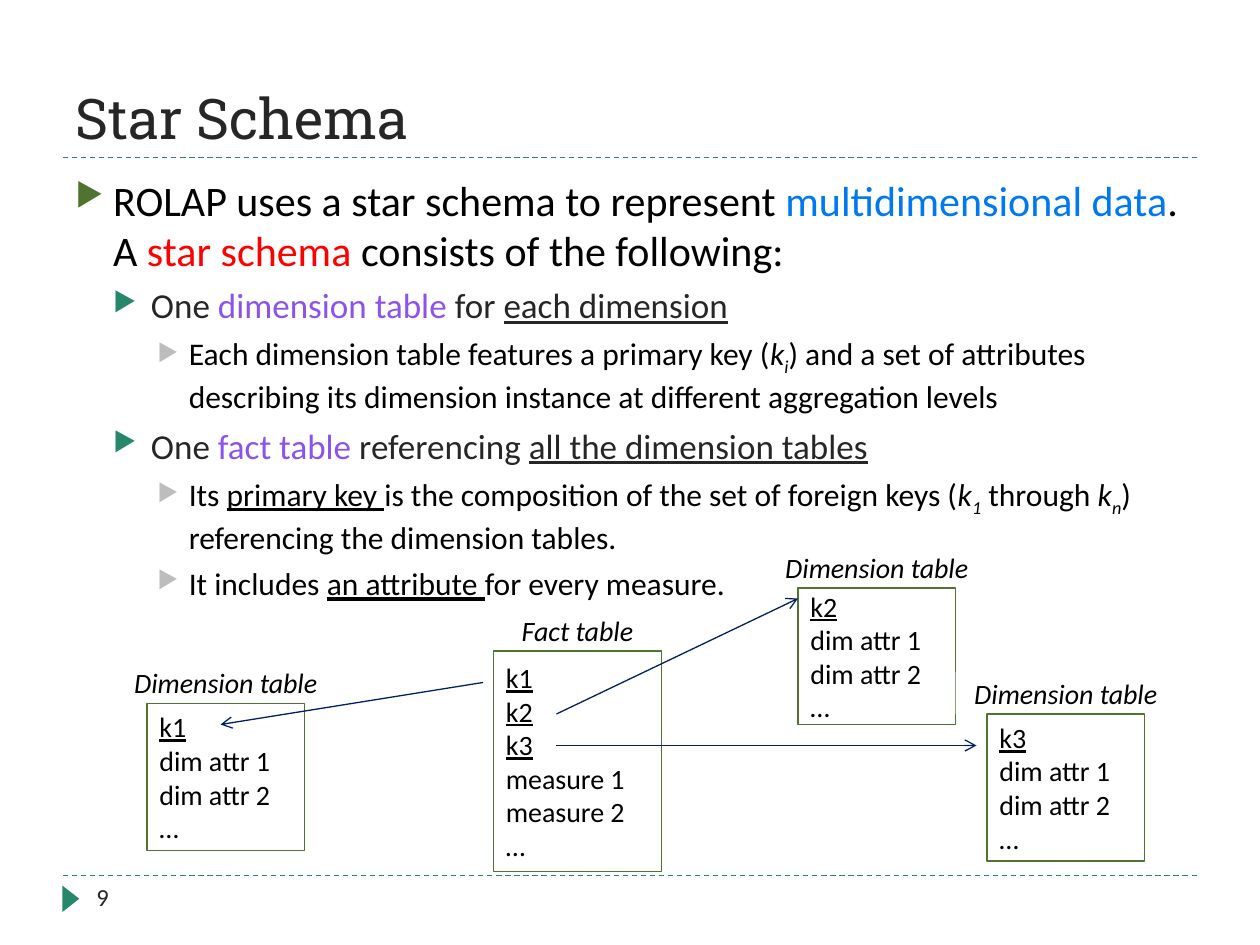
from dataclasses import dataclass

from lxml import etree
from pptx import Presentation
from pptx.dml.color import RGBColor
from pptx.enum.dml import MSO_LINE
from pptx.enum.shapes import MSO_CONNECTOR, MSO_SHAPE
from pptx.enum.text import MSO_ANCHOR, MSO_AUTO_SIZE, PP_ALIGN
from pptx.oxml.ns import qn
from pptx.util import Emu, Pt

STRAIGHT = MSO_CONNECTOR.STRAIGHT
RECTANGLE, TRIANGLE = MSO_SHAPE.RECTANGLE, MSO_SHAPE.ISOSCELES_TRIANGLE
TOP, MIDDLE, BOTTOM = MSO_ANCHOR.TOP, MSO_ANCHOR.MIDDLE, MSO_ANCHOR.BOTTOM
LEFT, CENTER = PP_ALIGN.LEFT, PP_ALIGN.CENTER
DASH = MSO_LINE.DASH
EMU_PER_PX = 7620  # 120 px to the inch
LABEL_HEIGHT = 40


@dataclass(frozen=True)
class Theme:
    heading_font: str = "Roboto Slab"
    body_font: str = "Calibri"
    black: str = "000000"
    white: str = "FFFFFF"
    dark: str = "262626"
    teal: str = "268868"
    green: str = "50742F"
    gray: str = "BDBDBD"
    navy: str = "002060"
    blue: str = "0078F0"
    red: str = "FF0000"
    purple: str = "8B53EB"
    title_size: int = 32
    table_size: int = 16
    number_size: int = 14


THEME = Theme()


@dataclass(frozen=True)
class Level:
    size: int
    color: str
    bullet_color: str
    margin: int
    hanging: int
    space_before: int


LEVELS = (
    Level(24, THEME.black, THEME.green, 36, 36, 6),
    Level(20, THEME.dark, THEME.teal, 72, 36, 5),
    Level(18, THEME.black, THEME.gray, 108, 30, 5),
)


@dataclass(frozen=True)
class Span:
    text: str
    color: str | None = None
    underline: bool = False
    italic: bool = False
    subscript: bool = False


@dataclass(frozen=True)
class Table:
    label: str
    label_width: int
    left: int
    top: int
    width: int
    height: int
    keys: tuple[str, ...]
    attributes: tuple[str, ...]


def key(index: str) -> tuple[Span, Span]:
    return Span("k", italic=True), Span(index, italic=True, subscript=True)


OUTLINE = (
    (0, (Span("ROLAP uses a star schema to represent "),
         Span("multidimensional data", THEME.blue), Span(". A "),
         Span("star schema ", THEME.red), Span("consists of the following:"))),
    (1, (Span("One "), Span("dimension table ", THEME.purple), Span("for "),
         Span("each dimension", underline=True))),
    (2, (Span("Each dimension table features a primary key ("), *key("i"),
         Span(") and a set of attributes describing its dimension instance"
              " at different aggregation levels"))),
    (1, (Span("One "), Span("fact table ", THEME.purple), Span("referencing "),
         Span("all the dimension tables", underline=True))),
    (2, (Span("Its "), Span("primary key ", underline=True),
         Span("is the composition of the set of foreign keys ("), *key("1"),
         Span(" through "), *key("n"), Span(") referencing the dimension tables."))),
    (2, (Span("It includes "), Span("an attribute ", underline=True),
         Span("for every measure."))),
)


def dimension(name: str, left: int, top: int, height: int = 140) -> Table:
    return Table("Dimension table", 210, left, top, 150, height,
                 (name,), ("dim attr 1", "dim attr 2", "…"))


TABLES = (
    dimension("k1", 140, 670),
    Table("Fact table", 160, 470, 620, 160, 210,
          ("k1", "k2", "k3"), ("measure 1", "measure 2", "…")),
    dimension("k2", 760, 560, 130),
    dimension("k3", 940, 680),
)
REFERENCES = ((460, 650, 210, 690), (530, 680, 760, 570), (530, 710, 930, 710))
RULES = ((60, 150, 1140, 150), (60, 834, 1140, 834))


def px(*lengths: int) -> list[Emu]:
    return [Emu(length * EMU_PER_PX) for length in lengths]


def rgb(color: str) -> RGBColor:
    return RGBColor.from_string(color)


def write(paragraph, *spans: Span, size: int, color: str = THEME.black,
          font: str = THEME.body_font, align=LEFT) -> None:
    """Add formatted spans; a span's own colour wins over the paragraph's."""
    paragraph.alignment = align
    for span in spans:
        run = paragraph.add_run()
        run.text = span.text
        run.font.name, run.font.size = font, Pt(size)
        run.font.color.rgb = rgb(span.color or color)
        run.font.underline, run.font.italic = span.underline, span.italic
        if span.subscript:
            run._r.get_or_add_rPr().set("baseline", "-25000")


def prepare_frame(shape, anchor):
    frame = shape.text_frame
    frame.word_wrap, frame.auto_size = True, MSO_AUTO_SIZE.NONE
    frame.vertical_anchor = anchor
    return frame


def next_paragraph(frame, index: int):
    return frame.add_paragraph() if index else frame.paragraphs[0]


def add_bullet(paragraph, level: Level) -> None:
    properties = paragraph._p.get_or_add_pPr()
    properties.set("marL", str(level.margin * EMU_PER_PX))
    properties.set("indent", str(-level.hanging * EMU_PER_PX))
    color = etree.SubElement(properties, qn("a:buClr"))
    etree.SubElement(color, qn("a:srgbClr"), val=level.bullet_color)
    etree.SubElement(properties, qn("a:buSzPct"), val="76000")
    etree.SubElement(properties, qn("a:buChar"), char="▶")


def add_shape(slide, kind, *box: int, fill: str, line: str | None = None):
    shape = slide.shapes.add_shape(kind, *px(*box))
    shape.shadow.inherit = False
    shape.fill.solid()
    shape.fill.fore_color.rgb = rgb(fill)
    if line:
        shape.line.color.rgb, shape.line.width = rgb(line), Pt(1)
    else:
        shape.line.fill.background()
    return shape


def add_line(slide, *ends: int, color: str, dash=None, arrow: bool = False) -> None:
    connector = slide.shapes.add_connector(STRAIGHT, *px(*ends))
    connector.line.color.rgb, connector.line.width = rgb(color), Pt(0.75)
    if dash:
        connector.line.dash_style = dash
    if arrow:
        etree.SubElement(connector.line._get_or_add_ln(), qn("a:tailEnd"), type="arrow")
    etree.SubElement(connector._element.spPr, qn("a:effectLst"))


def add_title(slide, text: str) -> None:
    title = slide.shapes.title
    title.left, title.top, title.width, title.height = px(60, 20, 1080, 130)
    write(prepare_frame(title, BOTTOM).paragraphs[0], Span(text),
          size=THEME.title_size, color=THEME.dark, font=THEME.heading_font)


def add_outline(slide) -> None:
    frame = prepare_frame(slide.shapes.add_textbox(*px(60, 160, 1080, 405)), TOP)
    for index, (depth, spans) in enumerate(OUTLINE):
        level = LEVELS[depth]
        paragraph = next_paragraph(frame, index)
        paragraph.level = depth
        paragraph.space_before = Pt(level.space_before if index else 0)
        add_bullet(paragraph, level)
        write(paragraph, *spans, size=level.size, color=level.color)


def add_schema_table(slide, table: Table) -> None:
    """Draw a table box with its label centred above it."""
    label_left = table.left + (table.width - table.label_width) // 2
    label = add_shape(slide, RECTANGLE, label_left, table.top - LABEL_HEIGHT,
                      table.label_width, LABEL_HEIGHT, fill=THEME.white)
    write(prepare_frame(label, MIDDLE).paragraphs[0], Span(table.label, italic=True),
          size=THEME.table_size, align=CENTER)
    box = add_shape(slide, RECTANGLE, table.left, table.top, table.width, table.height,
                    fill=THEME.white, line=THEME.green)
    frame = prepare_frame(box, MIDDLE)
    for index, name in enumerate(table.keys + table.attributes):
        write(next_paragraph(frame, index),
              Span(name, underline=index < len(table.keys)), size=THEME.table_size)


def main() -> None:
    presentation = Presentation()
    presentation.slide_width, presentation.slide_height = px(1200, 900)
    slide = presentation.slides.add_slide(presentation.slide_layouts[5])
    for rule in RULES:
        add_line(slide, *rule, color=THEME.teal, dash=DASH)
    add_shape(slide, TRIANGLE, 55, 848, 25, 16, fill=THEME.teal).rotation = 90
    add_title(slide, "Star Schema")
    number = slide.shapes.add_textbox(*px(80, 834, 260, 48))
    write(prepare_frame(number, TOP).paragraphs[0], Span("9"),
          size=THEME.number_size, color=THEME.dark)
    add_outline(slide)
    for table in TABLES:
        add_schema_table(slide, table)
    for reference in REFERENCES:
        add_line(slide, *reference, color=THEME.navy, arrow=True)
    presentation.save("out.pptx")


if __name__ == "__main__":
    main()
